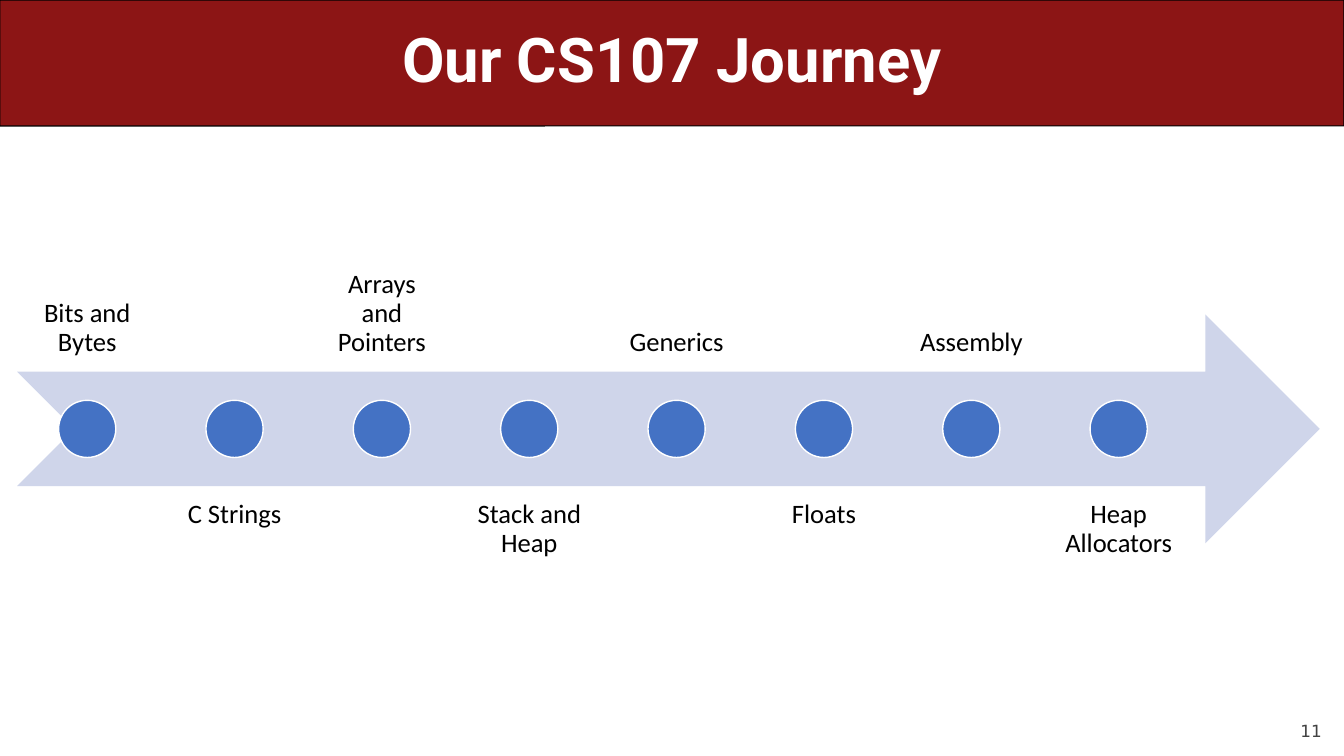
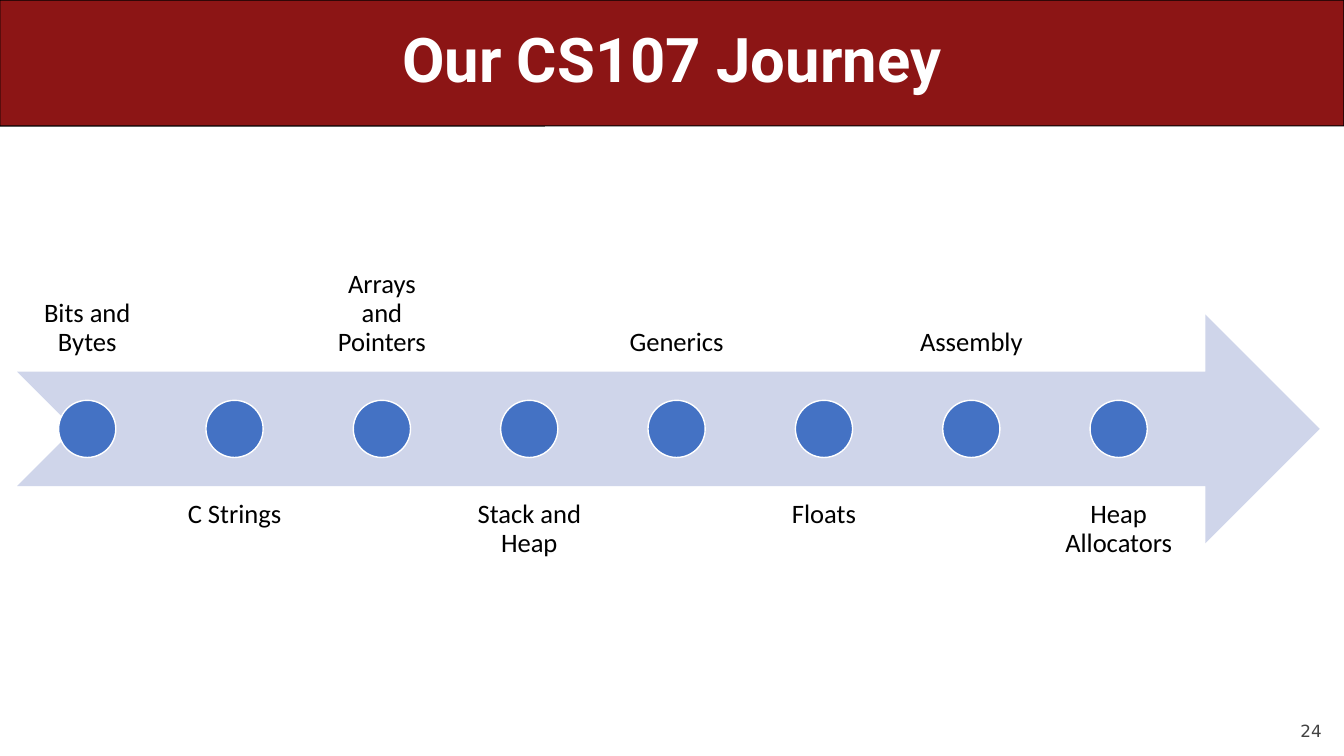
from dataclasses import dataclass

from pptx import Presentation
from pptx import util as u
from pptx.dml.color import RGBColor
from pptx.enum import shapes, text
from pptx.shapes.autoshape import Shape
from pptx.shapes.shapetree import GroupShapes
from pptx.slide import Slide


@dataclass(frozen=True)
class TextStyle:
    font: str
    size: int
    color: str
    bold: bool = False
    align: text.PP_ALIGN = text.PP_ALIGN.CENTER
    line_spacing: float = 0.9


@dataclass(frozen=True)
class Theme:
    band: str = "8C1515"
    band_line: str = "000000"
    arrow: str = "CFD5EA"
    dot: str = "4472C4"
    dot_line: str = "FFFFFF"
    title: TextStyle = TextStyle("Roboto", 44, "FFFFFF", bold=True)
    label: TextStyle = TextStyle("Calibri", 19, "000000")
    page: TextStyle = TextStyle(
        "DejaVu Sans", 12, "424242", align=text.PP_ALIGN.RIGHT, line_spacing=1.0
    )


@dataclass(frozen=True)
class Box:
    left: float
    top: float
    width: float
    height: float

    def lengths(self) -> tuple[u.Length, ...]:
        return tuple(map(u.Inches, (self.left, self.top, self.width, self.height)))


@dataclass(frozen=True)
class JourneySlide:
    title: str
    page: int
    topics: tuple[str, ...]


THEME = Theme()
SLIDE_WIDTH, SLIDE_HEIGHT = 13.33, 7.5
BAND = Box(0, 0, SLIDE_WIDTH, 1.25)
TITLE = Box(0.5, 0, SLIDE_WIDTH - 1, BAND.height)
PAGE = Box(12, 6.95, 1.11, 0.4)
ARROW = Box(0.17, 3.12, 12.92, 2.27)
LABEL_WIDTH = 1.39
LAST_LABEL_LEFT = 10.4
LABEL_ABOVE_TOP, LABEL_BELOW_TOP = 1.42, 4.82
LABEL_INSET = 0.15
DOT_SIZE = ARROW.height / 4

TOPICS = (
    "Bits and Bytes",
    "C Strings",
    "Arrays and Pointers",
    "Stack and Heap",
    "Generics",
    "Floats",
    "Assembly",
    "Heap Allocators",
)
SLIDES = tuple(JourneySlide("Our CS107 Journey", page, TOPICS) for page in (11, 24))


def add_filled_shape(
    parent: GroupShapes,
    kind: shapes.MSO_SHAPE,
    box: Box,
    fill: str,
    line: str | None = None,
    line_width: float = 1,
) -> Shape:
    shape = parent.add_shape(kind, *box.lengths())
    shape.shadow.inherit = False
    shape.fill.solid()
    shape.fill.fore_color.rgb = RGBColor.from_string(fill)
    if line is None:
        shape.line.fill.background()
    else:
        shape.line.color.rgb = RGBColor.from_string(line)
        shape.line.width = u.Pt(line_width)
    return shape


def add_text(
    parent: GroupShapes,
    box: Box,
    words: str,
    style: TextStyle,
    anchor: text.MSO_ANCHOR,
    inset: float,
) -> None:
    frame = parent.add_textbox(*box.lengths()).text_frame
    frame.word_wrap = True
    frame.vertical_anchor = anchor
    frame.margin_left = frame.margin_right = u.Inches(inset)
    frame.margin_top = frame.margin_bottom = u.Inches(inset)
    paragraph = frame.paragraphs[0]
    paragraph.alignment = style.align
    paragraph.line_spacing = style.line_spacing
    run = paragraph.add_run()
    run.text = words
    run.font.name = style.font
    run.font.size = u.Pt(style.size)
    run.font.bold = style.bold
    run.font.color.rgb = RGBColor.from_string(style.color)


def add_frame(slide: Slide, title: str, page: int) -> None:
    add_text(slide.shapes, PAGE, str(page), THEME.page, text.MSO_ANCHOR.BOTTOM, 0)
    band = add_filled_shape(
        slide.shapes,
        shapes.MSO_SHAPE.ROUNDED_RECTANGLE,
        BAND,
        THEME.band,
        THEME.band_line,
        0.75,
    )
    band.adjustments[0] = 0.001
    add_text(slide.shapes, TITLE, title, THEME.title, text.MSO_ANCHOR.MIDDLE, 0.05)


def add_timeline(slide: Slide, topics: tuple[str, ...]) -> None:
    timeline = slide.shapes.add_group_shape().shapes
    add_filled_shape(
        timeline, shapes.MSO_SHAPE.NOTCHED_RIGHT_ARROW, ARROW, THEME.arrow
    )
    pitch = (LAST_LABEL_LEFT - ARROW.left) / (len(topics) - 1)
    dot_top = ARROW.top + (ARROW.height - DOT_SIZE) / 2
    for index, topic in enumerate(topics):
        left = ARROW.left + index * pitch
        above = index % 2 == 0
        top = LABEL_ABOVE_TOP if above else LABEL_BELOW_TOP
        anchor = text.MSO_ANCHOR.BOTTOM if above else text.MSO_ANCHOR.TOP
        label = Box(left, top, LABEL_WIDTH, ARROW.height)
        add_text(timeline, label, topic, THEME.label, anchor, LABEL_INSET)
        dot_left = left + (LABEL_WIDTH - DOT_SIZE) / 2
        add_filled_shape(
            timeline,
            shapes.MSO_SHAPE.OVAL,
            Box(dot_left, dot_top, DOT_SIZE, DOT_SIZE),
            THEME.dot,
            THEME.dot_line,
        )


def main() -> None:
    presentation = Presentation()
    presentation.slide_width = u.Inches(SLIDE_WIDTH)
    presentation.slide_height = u.Inches(SLIDE_HEIGHT)
    blank_layout = presentation.slide_layouts[6]
    for journey in SLIDES:
        slide = presentation.slides.add_slide(blank_layout)
        add_frame(slide, journey.title, journey.page)
        add_timeline(slide, journey.topics)
    presentation.save("out.pptx")


if __name__ == "__main__":
    main()
